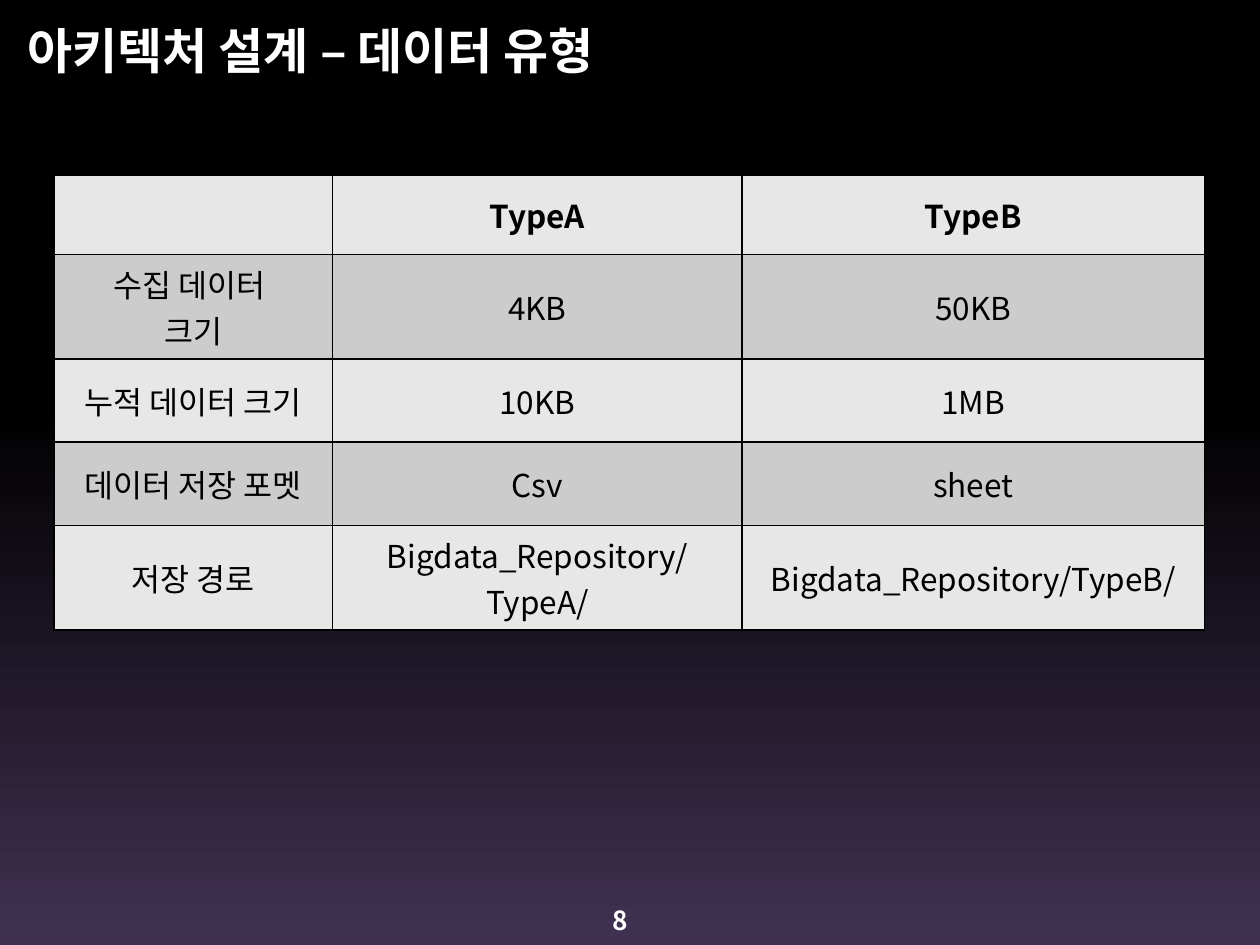
import dataclasses

import lxml.etree
import pptx
import pptx.dml.color
import pptx.enum.shapes
import pptx.enum.text
import pptx.oxml.ns
import pptx.util

Inches = pptx.util.Inches
RGBColor = pptx.dml.color.RGBColor
Align = pptx.enum.text.PP_ALIGN
Anchor = pptx.enum.text.MSO_ANCHOR
qn = pptx.oxml.ns.qn

BLACK = RGBColor(0x00, 0x00, 0x00)
WHITE = RGBColor(0xFF, 0xFF, 0xFF)
PURPLE = RGBColor(0x40, 0x31, 0x52)
LIGHT_GRAY = RGBColor(0xE7, 0xE7, 0xE7)
MID_GRAY = RGBColor(0xCC, 0xCC, 0xCC)
FONT = "Noto Sans CJK KR"


@dataclasses.dataclass(frozen=True)
class TextStyle:
    size: float
    color: RGBColor
    bold: bool
    align: Align


TITLE_STYLE = TextStyle(28, WHITE, True, Align.LEFT)
NUMBER_STYLE = TextStyle(15, WHITE, True, Align.LEFT)
HEADER_STYLE = TextStyle(18, BLACK, True, Align.CENTER)
BODY_STYLE = TextStyle(18, BLACK, False, Align.CENTER)

COLUMN_WIDTHS = [2.21, 3.25, 3.67]
HEADER_HEIGHT, ONE_LINE_HEIGHT, TWO_LINE_HEIGHT = 0.63, 0.66, 0.83
ROW_HEIGHTS = [
    HEADER_HEIGHT,
    TWO_LINE_HEIGHT,
    ONE_LINE_HEIGHT,
    ONE_LINE_HEIGHT,
    TWO_LINE_HEIGHT,
]
ROWS = [
    ["", "TypeA", "TypeB"],
    ["수집 데이터 \n크기", "4KB", "50KB"],
    ["누적 데이터 크기", "10KB", "1MB"],
    ["데이터 저장 포멧", "Csv", "sheet"],
    ["저장 경로", "Bigdata_Repository/TypeA/", "Bigdata_Repository/TypeB/"],
]


def write_text(frame, text: str, style: TextStyle) -> None:
    frame.text = text
    for paragraph in frame.paragraphs:
        paragraph.alignment = style.align
        font = paragraph.font
        font.name = FONT
        font.size = pptx.util.Pt(style.size)
        font.bold = style.bold
        font.color.rgb = style.color
        properties = paragraph._p.pPr.find(qn("a:defRPr"))
        latin = properties.find(qn("a:latin"))
        east_asian = lxml.etree.Element(qn("a:ea"), typeface=FONT)
        latin.addnext(east_asian)


def add_cell_borders(cell) -> None:
    properties = cell._tc.get_or_add_tcPr()
    for index, side in enumerate(("a:lnL", "a:lnR", "a:lnT", "a:lnB")):
        line = lxml.etree.Element(qn(side), w=str(pptx.util.Pt(1)))
        fill = lxml.etree.SubElement(line, qn("a:solidFill"))
        lxml.etree.SubElement(fill, qn("a:srgbClr"), val=str(BLACK))
        properties.insert(index, line)


def add_backdrop(slide, width: int, height: int) -> None:
    backdrop = slide.shapes.add_shape(
        pptx.enum.shapes.MSO_SHAPE.RECTANGLE, 0, 0, width, height
    )
    backdrop.shadow.inherit = False
    backdrop.line.fill.background()
    backdrop.fill.gradient()
    backdrop.fill.gradient_angle = 90
    stops = backdrop.fill.gradient_stops
    for stop, position, color in zip(stops, (0, 0.57), (PURPLE, BLACK)):
        stop.position = position
        stop.color.rgb = color
    slide.shapes.title._element.addprevious(backdrop._element)


def add_title(slide, text: str) -> None:
    title = slide.shapes.title
    title.left, title.top = Inches(0.12), Inches(0.08)
    title.width, title.height = Inches(9.69), Inches(0.63)
    title.text_frame.vertical_anchor = Anchor.MIDDLE
    write_text(title.text_frame, text, TITLE_STYLE)


def add_page_number(slide, text: str) -> None:
    box = slide.shapes.add_textbox(
        Inches(4.76), Inches(7.13), Inches(0.67), Inches(0.4)
    )
    box.text_frame.word_wrap = True
    write_text(box.text_frame, text, NUMBER_STYLE)


def add_type_table(slide) -> None:
    table = slide.shapes.add_table(
        len(ROWS), len(COLUMN_WIDTHS), Inches(0.43), Inches(1.39),
        Inches(sum(COLUMN_WIDTHS)), Inches(sum(ROW_HEIGHTS)),
    ).table
    for column, width in zip(table.columns, COLUMN_WIDTHS):
        column.width = Inches(width)
    for row_index, (row, height) in enumerate(zip(table.rows, ROW_HEIGHTS)):
        row.height = Inches(height)
        style = BODY_STYLE if row_index else HEADER_STYLE
        for cell, text in zip(row.cells, ROWS[row_index]):
            cell.vertical_anchor = Anchor.MIDDLE
            cell.fill.solid()
            cell.fill.fore_color.rgb = MID_GRAY if row_index % 2 else LIGHT_GRAY
            write_text(cell.text_frame, text, style)
            add_cell_borders(cell)


presentation = pptx.Presentation()
presentation.slide_width = Inches(10)
presentation.slide_height = Inches(7.5)
slide = presentation.slides.add_slide(presentation.slide_layouts[5])
add_backdrop(slide, presentation.slide_width, presentation.slide_height)
add_title(slide, "아키텍처 설계 – 데이터 유형")
add_page_number(slide, "8")
add_type_table(slide)
presentation.save("out.pptx")
